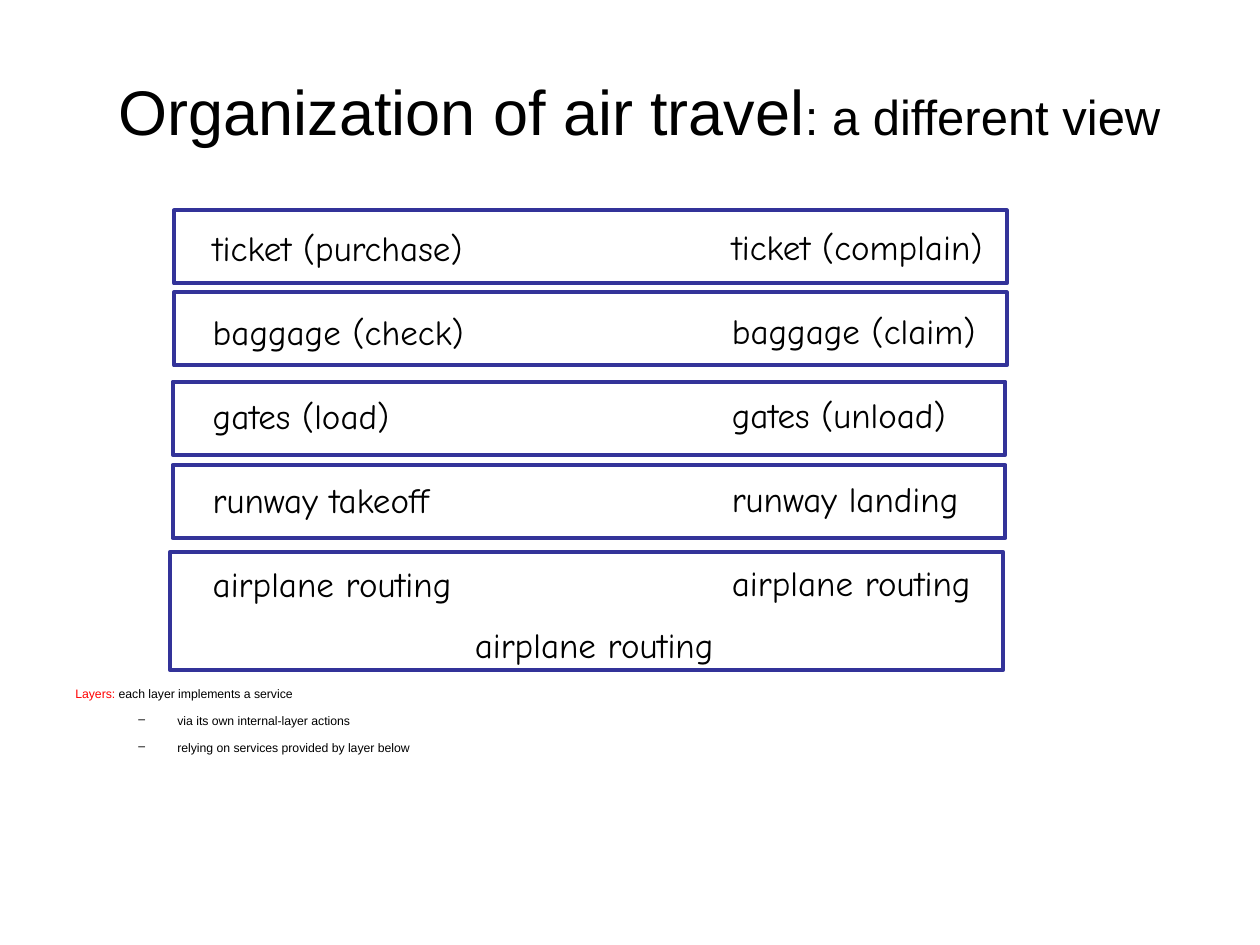
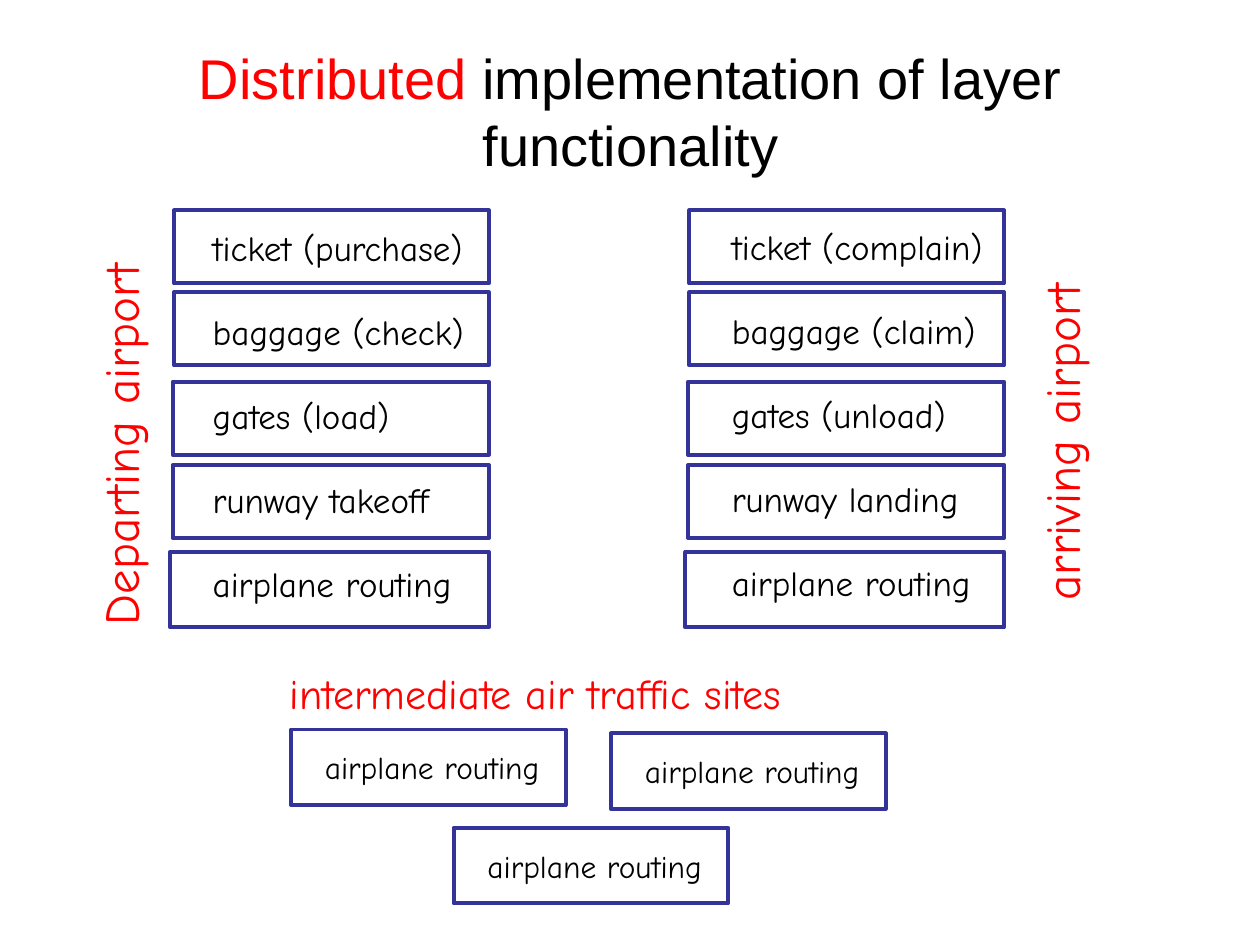
import dataclasses

import pptx
import pptx.dml.color
import pptx.enum.shapes
import pptx.enum.text
import pptx.oxml
import pptx.oxml.ns
import pptx.util


@dataclasses.dataclass(frozen=True)
class Theme:
    black: str = "000000"
    red: str = "FF0000"
    blue: str = "333399"
    sans: str = "Arial"
    hand: str = "Comic Neue"
    border: float = 2.25
    title: int = 36
    aside: int = 28
    long: int = 32
    label: int = 20
    site: int = 18
    airport: int = 28
    head: int = 24
    note: int = 7
    line: int = 24


class Deck:
    cols, rows = 100, 75

    def __init__(self, theme):
        self.theme = theme
        self.file = pptx.Presentation()
        self.file.slide_width = pptx.util.Inches(10)
        self.file.slide_height = pptx.util.Inches(7.5)
        self.slide = None

    def grid(self, left, top, width, height):
        col = self.file.slide_width / self.cols
        row = self.file.slide_height / self.rows
        return [round(n) for n in (left * col, top * row, width * col, height * row)]

    def style(self, font, face=None, size=None, color=None):
        if face:
            font.name = face
        if size:
            font.size = pptx.util.Pt(size)
        if color:
            font.color.rgb = pptx.dml.color.RGBColor.from_string(color)

    def runs(self, para, parts):
        for words, look in parts:
            run = para.add_run()
            run.text = words
            self.style(run.font, **look)

    def title(self, place, parts):
        layout = self.file.slide_layouts.get_by_name("Title Only")
        self.slide = self.file.slides.add_slide(layout)
        shape = self.slide.shapes.title
        shape.left, shape.top, shape.width, shape.height = self.grid(*place)
        frame = shape.text_frame
        frame.auto_size = pptx.enum.text.MSO_AUTO_SIZE.NONE
        frame.vertical_anchor = pptx.enum.text.MSO_ANCHOR.MIDDLE
        para = frame.paragraphs[0]
        para.alignment = pptx.enum.text.PP_ALIGN.CENTER
        self.style(para.font, self.theme.sans)
        self.runs(para, parts)

    def box(self, *place):
        kind = pptx.enum.shapes.MSO_SHAPE.RECTANGLE
        shape = self.slide.shapes.add_shape(kind, *self.grid(*place))
        shape.shadow.inherit = False
        shape.fill.background()
        shape.line.color.rgb = pptx.dml.color.RGBColor.from_string(self.theme.blue)
        shape.line.width = pptx.util.Pt(self.theme.border)

    def text(self, place, lines, size, color=None, wrap=False, gap=0, turn=0):
        shape = self.slide.shapes.add_textbox(*self.grid(*place))
        shape.rotation = turn
        frame = shape.text_frame
        frame.word_wrap = wrap
        frame.auto_size = pptx.enum.text.MSO_AUTO_SIZE.SHAPE_TO_FIT_TEXT
        for i, words in enumerate(lines):
            para = frame.add_paragraph() if i else frame.paragraphs[0]
            para.text = words
            self.style(para.font, self.theme.hand, size, color or self.theme.black)
            if gap:
                para.line_spacing = pptx.util.Pt(self.theme.line)
                para.space_after = pptx.util.Pt(gap if i < len(lines) - 1 else 0)

    def notes(self, place, lead, points):
        shape = self.slide.shapes.add_textbox(*self.grid(*place))
        frame = shape.text_frame
        frame.word_wrap = True
        for i, parts in enumerate([lead] + [[(p, {})] for p in points]):
            para = frame.add_paragraph() if i else frame.paragraphs[0]
            para.space_before = pptx.util.Pt(self.theme.note)
            self.style(para.font, self.theme.sans, self.theme.note, self.theme.black)
            self.runs(para, parts)
            self.indent(para, *((0.81, -0.31) if i else (0.38, -0.38)))
            if i:
                para.level = 1
                self.bullet(para, "–")

    def indent(self, para, left, first):
        props = para._p.get_or_add_pPr()
        props.set("marL", str(pptx.util.Inches(left)))
        props.set("indent", str(pptx.util.Inches(first)))

    def bullet(self, para, char):
        mark = pptx.oxml.parse_xml(
            f'<a:buChar {pptx.oxml.ns.nsdecls("a")} char="{char}"/>')
        para._p.get_or_add_pPr().insert_element_before(
            mark, "a:tabLst", "a:defRPr", "a:extLst")


TOPS = (16.7, 23.2, 30.3, 36.9, 43.8)
SHIFTS = (0.3, 0.3, 0.2, 0.2, 0)
TALL = 5.8
ROUTE = "airplane routing"
LEAVE = ("ticket (purchase)", "baggage (check)", "gates (load)",
         "runway takeoff", ROUTE)
ARRIVE = ("ticket (complain)", "baggage (claim)", "gates (unload)",
          "runway landing", ROUTE)


def labels(deck):
    size, gap = deck.theme.label, deck.theme.line
    deck.text((15.9, 17.5, 22, 31), LEAVE, size, gap=gap)
    deck.text((57.1, 17.4, 21.9, 31), ARRIVE, size, gap=gap)


def stack(deck, left, width, last, right=None):
    for top, shift in zip(TOPS, SHIFTS):
        start = left + shift
        wide = right - start if right else width
        deck.box(start, top, wide, last if top == TOPS[-1] else TALL)


def layers(deck):
    theme = deck.theme
    deck.title((5.8, 2.5, 89.9, 12.5), [
        ("Organization of air travel", dict(size=theme.title, color=theme.black)),
        (": a different view", dict(size=theme.aside, color=theme.black))])
    deck.notes((5, 54, 90, 5.7),
               [("Layers: ", dict(color=theme.red)),
                ("each layer implements a service", {})],
               ["via its own internal-layer actions",
                "relying on services provided by layer below"])
    labels(deck)
    deck.text((36.7, 49, 21, 4.4), [ROUTE], theme.label)
    stack(deck, 13.5, 66.1, 9.4)


def sites(deck):
    theme = deck.theme
    deck.title((3.1, 2.5, 93.9, 12.5), [
        ("Distributed", dict(size=theme.long, color=theme.red)),
        (" implementation of layer functionality",
         dict(size=theme.long, color=theme.black))])
    labels(deck)
    for left, right in ((13.5, 38.8), (54.4, 79.7)):
        stack(deck, left, None, 6, right)
    for place, words in (((-7.4, 30.8, 33.9, 5.7), "Departing airport"),
                         ((68.7, 30.3, 31, 5.7), "arriving airport")):
        deck.text(place, [words], theme.airport, theme.red, wrap=True, turn=270)
    deck.text((22, 52.5, 57.3, 5), ["intermediate air traffic sites"],
              theme.head, theme.red, wrap=True)
    for left, top in ((36, 65.7), (23.1, 57.9), (48.5, 58.2)):
        deck.text((left + 1.7, top + 1, 19, 4), [ROUTE], theme.site)
        deck.box(left, top, 21.8, 6)


def main():
    deck = Deck(Theme())
    layers(deck)
    sites(deck)
    deck.file.save("out.pptx")


if __name__ == "__main__":
    main()
